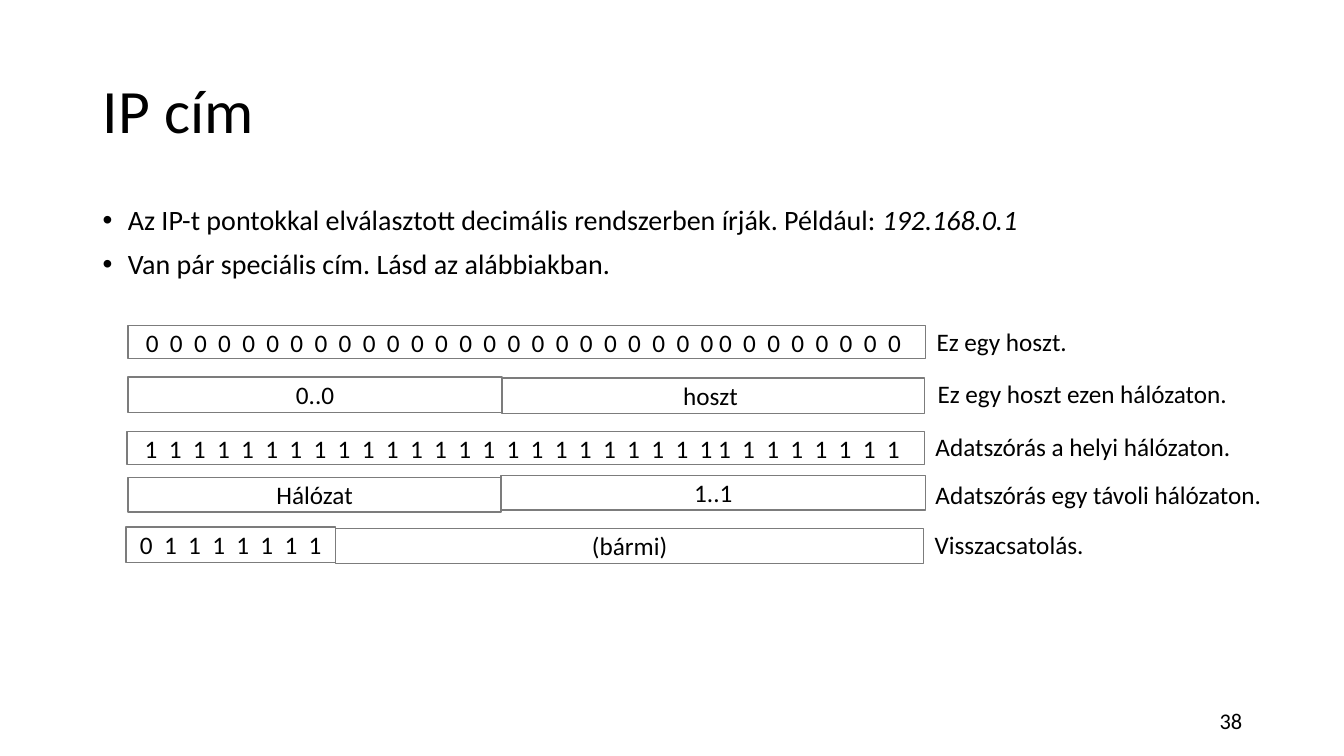
"""Build the slide on special IP addresses."""
import dataclasses
import typing

import lxml.etree
import pptx
import pptx.dml.color
import pptx.enum.shapes
import pptx.enum.text
import pptx.oxml.ns
import pptx.shapes.base
import pptx.slide
import pptx.text.text
import pptx.util

Inches = pptx.util.Inches
ALIGN = pptx.enum.text.PP_ALIGN
ANCHOR = pptx.enum.text.MSO_ANCHOR
BLACK = pptx.dml.color.RGBColor(0x00, 0x00, 0x00)
GRAY = pptx.dml.color.RGBColor(0x7C, 0x7C, 0x7C)
FONT = "Calibri"


@dataclasses.dataclass(frozen=True)
class Field:
    text: str
    left: float
    top: float
    width: float
    height: float


@dataclasses.dataclass(frozen=True)
class AddressRow:
    fields: tuple[Field, ...]
    note: str
    note_left: float
    note_top: float
    note_width: float


def bits(digit: str) -> str:
    return f"{'  '.join(digit * 24)} {'  '.join(digit * 8)} "


ROWS = (
    AddressRow((Field(bits("0"), 1.27, 3.23, 7.91, 0.33),),
               "Ez egy hoszt.", 9.19, 3.19, 1.51),
    AddressRow((Field("0..0", 1.27, 3.74, 3.71, 0.35),
                Field("hoszt ", 4.98, 3.75, 4.19, 0.35)),
               "Ez egy hoszt ezen hálózaton.", 9.2, 3.7, 3.11),
    AddressRow((Field(bits("1"), 1.26, 4.28, 7.91, 0.33),),
               "Adatszórás a helyi hálózaton.", 9.18, 4.23, 3.16),
    AddressRow((Field("Hálózat", 1.27, 4.74, 3.7, 0.34),
                Field("1..1", 4.97, 4.72, 4.21, 0.34)),
               "Adatszórás egy távoli hálózaton.", 9.18, 4.71, 3.47),
    AddressRow((Field("0  1  1  1  1  1  1  1", 1.25, 5.23, 2.08, 0.35),
                Field("(bármi)", 3.33, 5.24, 5.83, 0.35)),
               "Visszacsatolás.", 9.17, 5.2, 1.75),
)
BULLETS = (
    (("Az IP-t pontokkal elválasztott decimális rendszerben írják. Például: ", False),
     ("192.168.0.1", True)),
    (("Van pár speciális cím. Lásd az alábbiakban.", False),),
)


def write(paragraph: pptx.text.text._Paragraph, text: str, *, size: float = 18,
          italic: bool = False, align: typing.Any = ALIGN.LEFT) -> None:
    paragraph.alignment = align
    run = paragraph.add_run()
    run.text = text
    run.font.name = FONT
    run.font.size = pptx.util.Pt(size)
    run.font.italic = italic
    run.font.color.rgb = BLACK


def add_text_box(slide: pptx.slide.Slide, left: float, top: float, width: float,
                 height: float, wrap: bool = True) -> pptx.text.text.TextFrame:
    shape = slide.shapes.add_textbox(Inches(left), Inches(top), Inches(width), Inches(height))
    shape.text_frame.word_wrap = wrap
    return shape.text_frame


def add_title(slide: pptx.slide.Slide) -> None:
    title = slide.shapes.title
    title.left, title.top = Inches(0.92), Inches(0.4)
    title.width, title.height = Inches(11.5), Inches(1.45)
    title.text_frame.vertical_anchor = ANCHOR.MIDDLE
    paragraph = title.text_frame.paragraphs[0]
    paragraph.line_spacing = 0.9
    write(paragraph, "IP cím", size=44)


def add_bullets(slide: pptx.slide.Slide) -> None:
    frame = add_text_box(slide, 0.92, 2, 11.5, 1)
    for index, parts in enumerate(BULLETS):
        paragraph = frame.add_paragraph() if index else frame.paragraphs[0]
        paragraph.line_spacing = 0.9
        paragraph.space_before = pptx.util.Pt(10)
        for text, italic in parts:
            write(paragraph, text, size=20, italic=italic)
        properties = paragraph._p.get_or_add_pPr()
        properties.set("marL", str(Inches(0.25)))
        properties.set("indent", str(-Inches(0.25)))
        for tag, name, value in (("a:buFont", "typeface", "Arial"), ("a:buChar", "char", "•")):
            lxml.etree.SubElement(properties, pptx.oxml.ns.qn(tag)).set(name, value)


def add_field(slide: pptx.slide.Slide, field: Field) -> None:
    shape = slide.shapes.add_shape(
        pptx.enum.shapes.MSO_SHAPE.RECTANGLE, Inches(field.left), Inches(field.top),
        Inches(field.width), Inches(field.height))
    shape.shadow.inherit = False
    shape.fill.background()
    shape.line.color.rgb = GRAY
    shape.line.width = pptx.util.Pt(1)
    shape.text_frame.word_wrap = True
    shape.text_frame.vertical_anchor = ANCHOR.MIDDLE
    write(shape.text_frame.paragraphs[0], field.text, align=ALIGN.CENTER)


def add_row(slide: pptx.slide.Slide, row: AddressRow) -> None:
    for field in row.fields:
        add_field(slide, field)
    frame = add_text_box(slide, row.note_left, row.note_top, row.note_width, 0.4, wrap=False)
    frame.auto_size = pptx.enum.text.MSO_AUTO_SIZE.SHAPE_TO_FIT_TEXT
    write(frame.paragraphs[0], row.note)


def main() -> None:
    presentation = pptx.Presentation()
    presentation.slide_width = Inches(13.33)
    presentation.slide_height = Inches(7.5)
    slide = presentation.slides.add_slide(presentation.slide_layouts.get_by_name("Title Only"))
    add_title(slide)
    add_bullets(slide)
    for row in ROWS:
        add_row(slide, row)
    number = add_text_box(slide, 9.42, 6.95, 3, 0.4)
    number.vertical_anchor = ANCHOR.MIDDLE
    write(number.paragraphs[0], "38", size=16, align=ALIGN.RIGHT)
    presentation.save("out.pptx")


if __name__ == "__main__":
    main()
